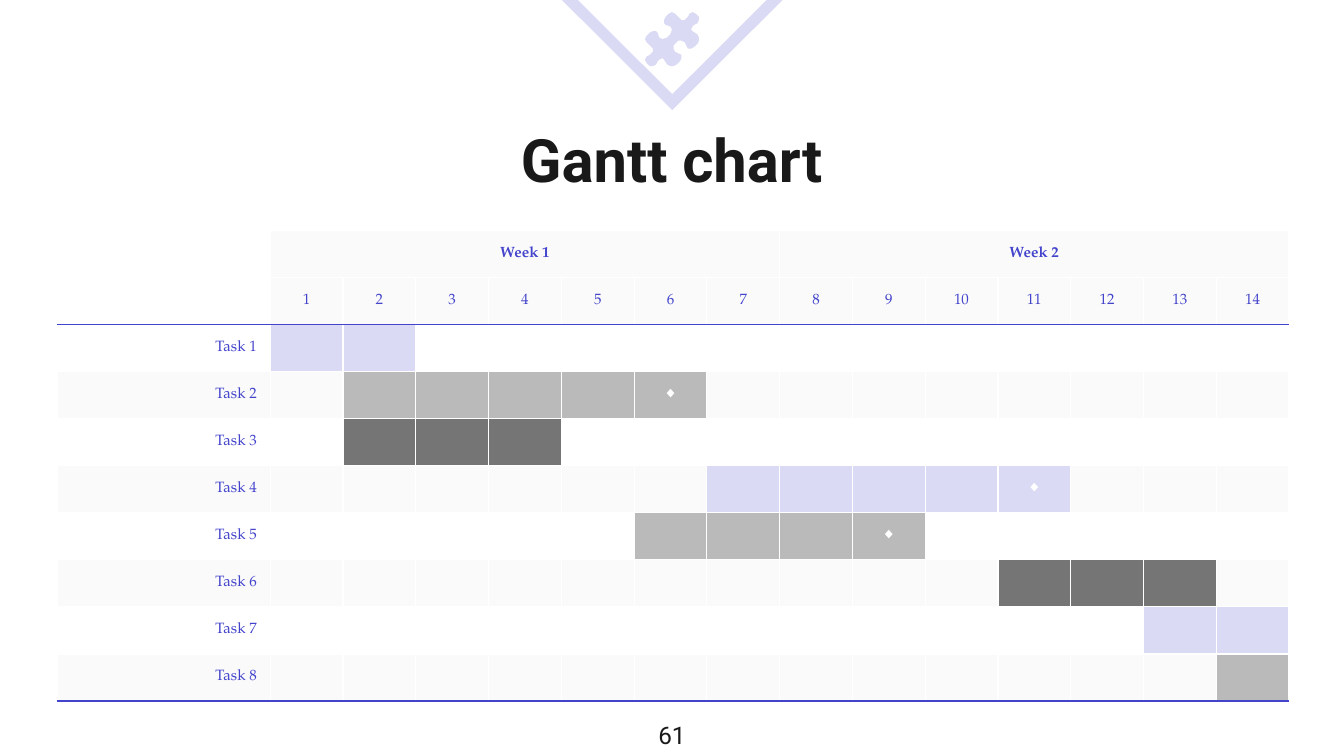
import lxml.etree
import pptx
import pptx.dml.color
import pptx.enum.shapes
import pptx.enum.text
import pptx.oxml.ns
import pptx.util

Cm = pptx.util.Cm
Pt = pptx.util.Pt
ALIGN = pptx.enum.text.PP_ALIGN
qn = pptx.oxml.ns.qn

DAYS = 14
TASKS = [(1, 2, None), (2, 6, 6), (2, 4, None), (7, 11, 11),
         (6, 9, 9), (11, 13, None), (13, 14, None), (14, 14, None)]
PUZZLE_HALF = [
    (-2, -2), (-3, -1), (-6, 0), (-8, -1), (-9, -4), (-10, -5), (-12, -5),
    (-14, -4), (-16, -2), (-17, 0), (-16, 2), (-13, 5), (-12, 6), (-12, 8),
    (-14, 10), (-16, 11), (-17, 13), (-16, 15), (-14, 17), (-12, 17),
    (-10, 16), (-9, 14), (-8, 13), (-6, 12), (-5, 13), (-3, 16), (-1, 17),
    (1, 17), (3, 16), (5, 14), (6, 12), (6, 10), (4, 9), (2, 8), (1, 6),
    (1, 4), (2, 3)]


def rgb(value):
    return pptx.dml.color.RGBColor.from_string(value)


class GanttSlide:
    """Holds the style and the current slide, and draws each kind of element."""

    ink, accent, pale = "191919", "4344CB", "DADAF5"
    band, white = "FAFAFA", "FFFFFF"
    bars = [pale, "BABABA", "757575"]
    heading_font, table_font = "Roboto", "TeX Gyre Pagella"

    def __init__(self, deck):
        self.slide = deck.slides.add_slide(deck.slide_layouts[6])

    def style(self, paragraph, face, size, color, bold=False, align=ALIGN.CENTER):
        paragraph.alignment = align
        font = paragraph.font
        font.name, font.size, font.bold = face, Pt(size), bold
        font.color.rgb = rgb(color)

    def text(self, words, left, top, width, height, size, bold=False):
        frame = self.slide.shapes.add_textbox(
            Cm(left), Cm(top), Cm(width), Cm(height)).text_frame
        frame.word_wrap = True
        frame.margin_left = frame.margin_right = Cm(0.25)
        frame.margin_top = frame.margin_bottom = Cm(0.25)
        frame.text = words
        self.style(frame.paragraphs[0], self.heading_font, size, self.ink, bold)

    def triangle(self, left, top, width, height):
        outline = self.slide.shapes.add_shape(
            pptx.enum.shapes.MSO_SHAPE.ISOSCELES_TRIANGLE,
            Cm(left), Cm(top), Cm(width), Cm(height))
        outline.rotation = 180
        outline.shadow.inherit = False
        outline.fill.background()
        outline.line.color.rgb = rgb(self.pale)
        outline.line.width = Pt(6)
        lxml.etree.SubElement(outline.line._get_or_add_ln(), qn("a:miter"), lim="800000")

    def puzzle(self, center_x, center_y, unit):
        points = PUZZLE_HALF + [(y, x) for x, y in reversed(PUZZLE_HALF)]
        builder = self.slide.shapes.build_freeform(*points[0], scale=Cm(unit))
        builder.add_line_segments(points[1:], close=True)
        piece = builder.convert_to_shape(Cm(center_x), Cm(center_y))
        piece.shadow.inherit = False
        piece.fill.solid()
        piece.fill.fore_color.rgb = rgb(self.pale)
        piece.line.fill.background()

    def borders(self, cell, top, bottom):
        sides = {"L": self.white, "R": self.white, "T": top, "B": bottom}
        for side, color in sides.items():
            edge = lxml.etree.SubElement(
                cell._tc.get_or_add_tcPr(), qn(f"a:ln{side}"), w=str(Pt(0.75)))
            fill = lxml.etree.SubElement(edge, qn("a:solidFill"))
            lxml.etree.SubElement(fill, qn("a:srgbClr"), val=color)

    def cell(self, cell, words="", fill=None, color=accent, bold=False,
             align=ALIGN.CENTER, top=white, bottom=white):
        self.borders(cell, top, bottom)
        cell.vertical_anchor = pptx.enum.text.MSO_ANCHOR.MIDDLE
        if fill:
            cell.fill.solid()
            cell.fill.fore_color.rgb = rgb(fill)
        else:
            cell.fill.background()
        if words:
            cell.text = words
        else:
            cell.margin_top = cell.margin_bottom = 0
        self.style(cell.text_frame.paragraphs[0], self.table_font, 8, color, bold, align)

    def schedule(self, left, top, width, label_width, row_height):
        rows = len(TASKS) + 2
        table = self.slide.shapes.add_table(
            rows, DAYS + 1, Cm(left), Cm(top), Cm(width), Cm(row_height * rows)).table
        table.first_row = table.horz_banding = False
        for column in table.columns:
            column.width = Cm((width - label_width) / DAYS)
        table.columns[0].width = Cm(label_width)

        self.cell(table.cell(0, 0))
        self.cell(table.cell(1, 0), bottom=self.accent)
        for day in range(1, DAYS + 1):
            week, weekday = divmod(day - 1, 7)
            title = f"Week {week + 1}" if weekday == 0 else ""
            self.cell(table.cell(0, day), title, self.band, bold=True)
            self.cell(table.cell(1, day), str(day), self.band, bottom=self.accent)
        for first in range(1, DAYS, 7):
            table.cell(0, first).merge(table.cell(0, first + 6))

        for index, (start, end, milestone) in enumerate(TASKS):
            band = self.band if index % 2 else None
            edges = {"top": self.white if index else self.accent,
                     "bottom": self.accent if index == len(TASKS) - 1 else self.white}
            self.cell(table.cell(index + 2, 0), f"Task {index + 1}", band,
                      align=ALIGN.RIGHT, **edges)
            for day in range(1, DAYS + 1):
                fill = self.bars[index % 3] if start <= day <= end else band
                self.cell(table.cell(index + 2, day), "◆" if day == milestone else "",
                          fill, self.white, **edges)


def main():
    deck = pptx.Presentation()
    deck.slide_width, deck.slide_height = Cm(25.4), Cm(14.29)
    gantt = GanttSlide(deck)
    gantt.triangle(10.62, -0.15, 4.17, 2.08)
    gantt.text("Gantt chart", 2.87, 2.08, 19.66, 1.5, 32, bold=True)
    gantt.text("61", 0, 13.36, 25.4, 0.91, 13)
    gantt.schedule(1.09, 4.35, 23.28, 4.02, 0.89)
    gantt.puzzle(12.7, 0.74, 0.03)
    deck.save("out.pptx")


if __name__ == "__main__":
    main()
